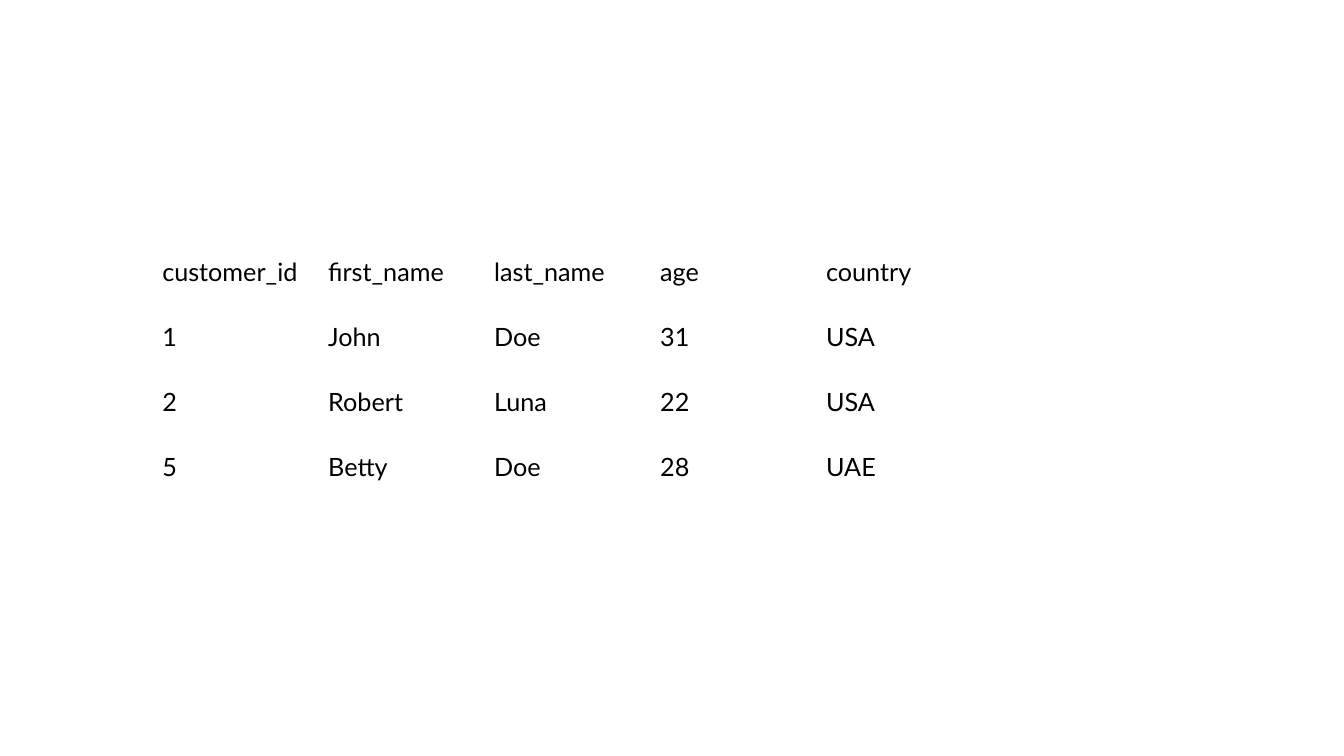
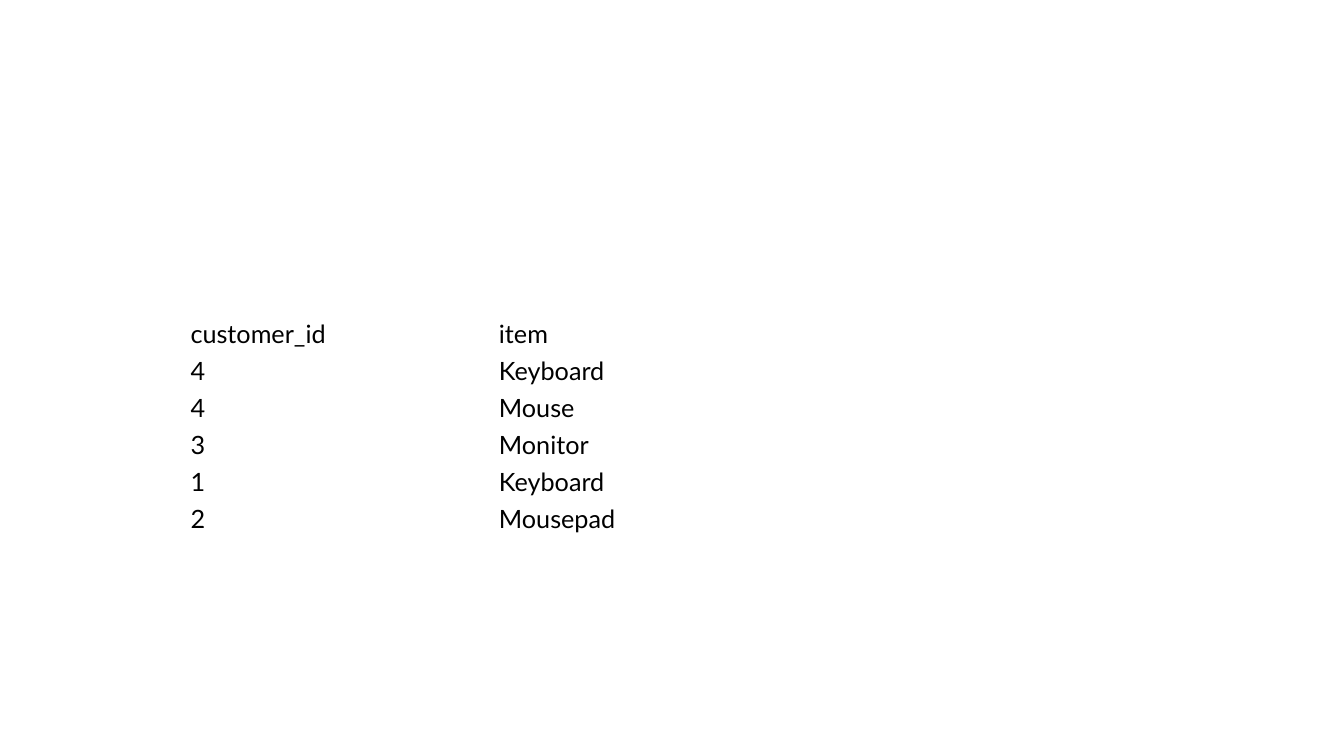
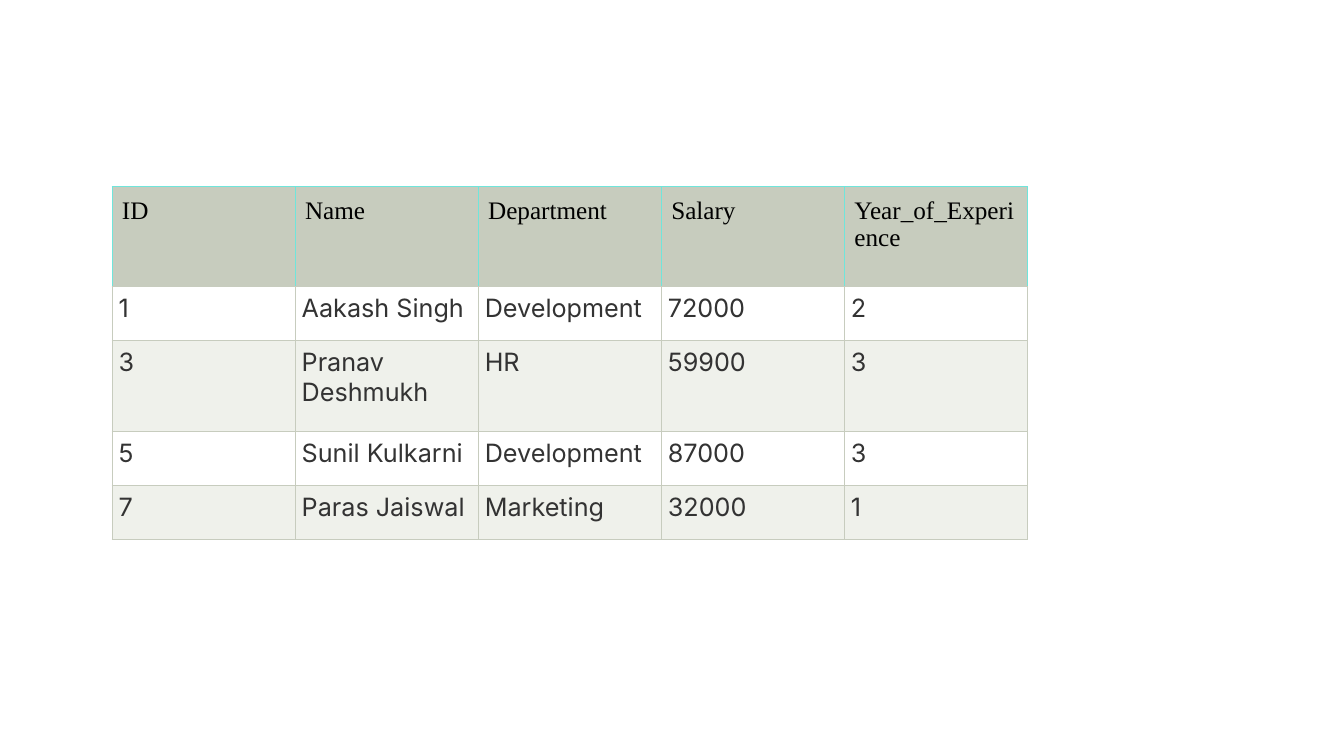
from dataclasses import dataclass

from lxml.etree import SubElement
from pptx import Presentation
from pptx.dml.color import RGBColor
from pptx.enum.text import MSO_ANCHOR as Anchor, PP_ALIGN as Align
from pptx.oxml.ns import qn
from pptx.slide import Slide
from pptx.table import _Cell as Cell
from pptx.util import Emu, Pt


@dataclass(frozen=True)
class Theme:
    """Colours, fonts and sizes shared by the slides."""
    ink: str = "000000"
    body_ink: str = "333333"
    sage: str = "C7CCBE"
    aqua: str = "70E5DB"
    white: str = "FFFFFF"
    mist: str = "EFF1EB"
    plain_font: str = "Lato"
    head_font: str = "Times New Roman"
    body_font: str = "Inter"
    text_size: float = 18
    border_width: float = 0.6
    no_grid_style: str = "{2D5ABB26-0587-4C30-8999-92F81FD0307C}"


THEME = Theme()
SLIDE_WIDTH, SLIDE_HEIGHT = 4000, 2250
EMU_PER_PX = 3048


@dataclass(frozen=True)
class CellStyle:
    """Look of one kind of table cell; borders run left, right, top, bottom."""
    font: str
    ink: str
    inset_x: int
    inset_y: int
    anchor: Anchor = Anchor.TOP
    align: Align = Align.LEFT
    fills: tuple[str, ...] = ()
    borders: tuple[str, ...] = ()


@dataclass(frozen=True)
class TableSpec:
    """Place, grid, styles and rows of one table."""
    left: int
    top: int
    col_width: int
    row_heights: tuple[int, ...]
    head: CellStyle
    body: CellStyle
    rows: tuple[tuple[str, ...], ...]


PLAIN = CellStyle(THEME.plain_font, THEME.ink, 45, 10, Anchor.MIDDLE)
STAFF_HEAD = CellStyle(
    THEME.head_font, THEME.ink, 30, 30, fills=(THEME.sage,),
    borders=(THEME.aqua, THEME.aqua, THEME.aqua, THEME.sage))
STAFF_BODY = CellStyle(
    THEME.body_font, THEME.body_ink, 20, 20, align=Align.JUSTIFY,
    fills=(THEME.white, THEME.mist), borders=(THEME.sage,) * 4)

CUSTOMERS = TableSpec(438, 711, 494, (194,) * 4, PLAIN, PLAIN, (
    ("customer_id", "first_name", "last_name", "age", "country"),
    ("1", "John", "Doe", "31", "USA"),
    ("2", "Robert", "Luna", "22", "USA"),
    ("5", "Betty", "Doe", "28", "UAE"),
))
ORDERS = TableSpec(522, 939, 918, (110,) * 6, PLAIN, PLAIN, (
    ("customer_id", "item"),
    ("4", "Keyboard"),
    ("4", "Mouse"),
    ("3", "Monitor"),
    ("1", "Keyboard"),
    ("2", "Mousepad"),
))
STAFF = TableSpec(333, 555, 545, (296, 161, 271, 161, 161), STAFF_HEAD, STAFF_BODY, (
    ("ID", "Name", "Department", "Salary", "Year_of_Experience"),
    ("1", "Aakash Singh", "Development", "72000", "2"),
    ("3", "Pranav Deshmukh", "HR", "59900", "3"),
    ("5", "Sunil Kulkarni", "Development", "87000", "3"),
    ("7", "Paras Jaiswal", "Marketing", "32000", "1"),
))


def px(n: int) -> Emu:
    """Turn px into EMU."""
    return Emu(n * EMU_PER_PX)


def set_borders(cell: Cell, colours: tuple[str, ...]) -> None:
    """Draw solid cell borders in left, right, top, bottom order."""
    tc_pr = cell._tc.get_or_add_tcPr()
    for side, colour in zip("LRTB", colours):
        ln = SubElement(tc_pr, qn(f"a:ln{side}"), w=str(Pt(THEME.border_width)))
        fill = SubElement(ln, qn("a:solidFill"))
        SubElement(fill, qn("a:srgbClr"), val=colour)


def write_cell(cell: Cell, text: str, style: CellStyle, band: int) -> None:
    """Fill one cell with styled text."""
    cell.margin_left = cell.margin_right = px(style.inset_x)
    cell.margin_top = cell.margin_bottom = px(style.inset_y)
    cell.vertical_anchor = style.anchor
    set_borders(cell, style.borders)
    if style.fills:
        cell.fill.solid()
        cell.fill.fore_color.rgb = RGBColor.from_string(style.fills[band % len(style.fills)])
    else:
        cell.fill.background()
    p = cell.text_frame.paragraphs[0]
    p.alignment = style.align
    r = p.add_run()
    r.text = text
    r.font.name = style.font
    r.font.size = Pt(THEME.text_size)
    r.font.bold = False
    r.font.color.rgb = RGBColor.from_string(style.ink)


def draw_table(s: Slide, spec: TableSpec) -> None:
    """Add one table to the slide."""
    n_cols = len(spec.rows[0])
    table = s.shapes.add_table(
        len(spec.rows), n_cols, px(spec.left), px(spec.top),
        px(spec.col_width * n_cols), px(sum(spec.row_heights))).table
    table.horz_banding = False
    table._tbl.tblPr.find(qn("a:tableStyleId")).text = THEME.no_grid_style
    for col in table.columns:
        col.width = px(spec.col_width)
    for i, (height, texts) in enumerate(zip(spec.row_heights, spec.rows)):
        table.rows[i].height = px(height)
        style, band = (spec.body, i - 1) if i else (spec.head, 0)
        for j, text in enumerate(texts):
            write_cell(table.cell(i, j), text, style, band)


def main() -> None:
    """Build and save the presentation."""
    prs = Presentation()
    prs.slide_width, prs.slide_height = px(SLIDE_WIDTH), px(SLIDE_HEIGHT)
    for spec in (CUSTOMERS, ORDERS, STAFF):
        draw_table(prs.slides.add_slide(prs.slide_layouts[6]), spec)
    prs.save("out.pptx")


if __name__ == "__main__":
    main()
